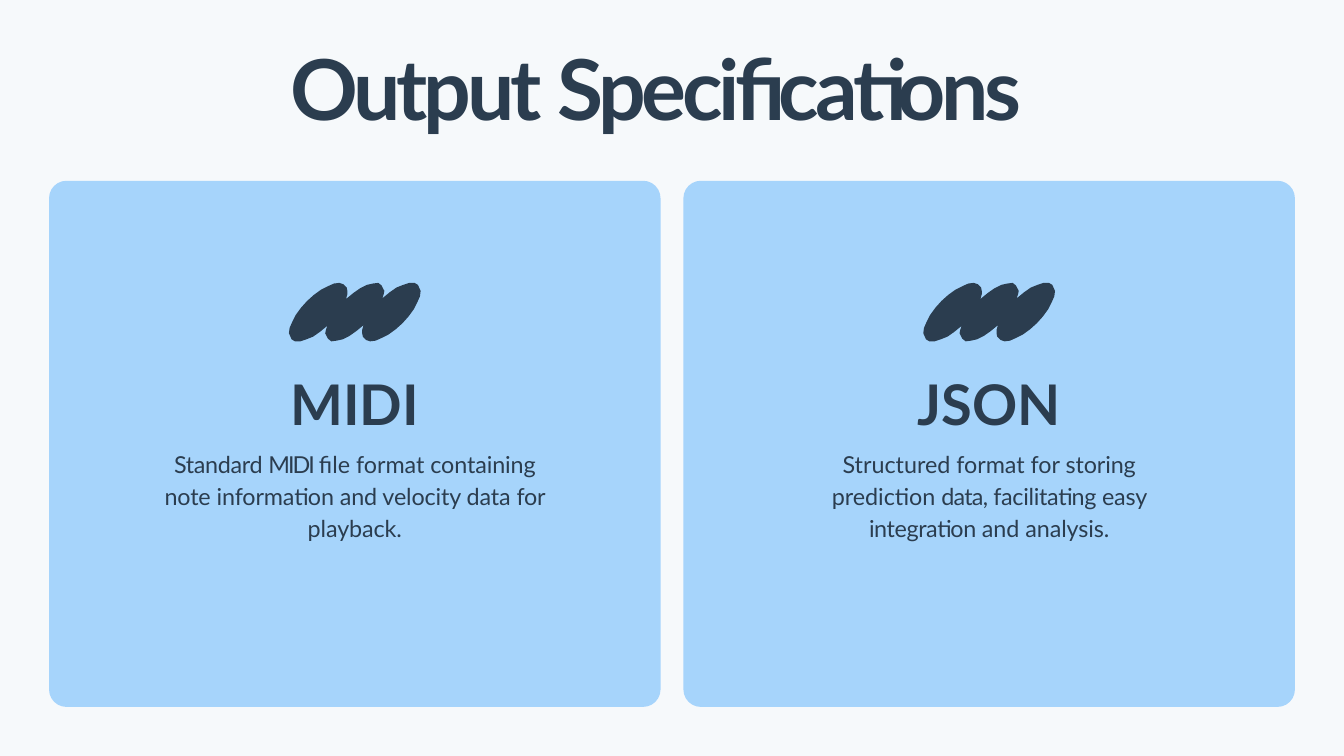
from pptx import Presentation
from pptx.dml.color import RGBColor
from pptx.enum.shapes import MSO_SHAPE as SHAPE
from pptx.enum.text import MSO_ANCHOR as ANCHOR, MSO_AUTO_SIZE as AUTO, PP_ALIGN as ALIGN
from pptx.util import Inches, Pt

INK, PANEL, PAPER = "2B3D4F", "A6D4FB", "F6F9FB"
CARD_LEFT, CARD_TOP, CARD_W, CARD_H, PITCH = 0.73, 2.69, 9.1, 7.83, 9.44
ICON_W, ICON_H = 1.96, 0.87
HALF_ICON = [
    (0.57, 0.64), (0.46, 0.73), (0.36, 0.8), (0.26, 0.84), (0.17, 0.87), (0.09, 0.87),
    (0.04, 0.84), (0, 0.75), (0.01, 0.67), (0.05, 0.58), (0.1, 0.48), (0.18, 0.37),
    (0.27, 0.27), (0.37, 0.18), (0.48, 0.1), (0.58, 0.05), (0.67, 0.01), (0.75, 0),
    (0.81, 0.02), (0.86, 0.07), (0.87, 0.12), (0.87, 0.17), (0.85, 0.24), (0.96, 0.15),
    (1.06, 0.08), (1.16, 0.03), (1.25, 0.01), (1.33, 0), (1.38, 0.04), (1.42, 0.12),
    (1.41, 0.17),
]
TITLE = [("Output ", -4.7), ("Specifications", -4.5)]
CARDS = [
    ("MIDI", 5.74, [
        ("Standard ", -0.3), ("MIDI ", -2.1), ("file format ", 0),
        ("containing note information and velocity data ", -0.1),
        ("for ", -0.2), ("playback.", -0.1)]),
    ("JSON", 4.75, [
        ("Structured format for ", 0), ("storing ", -0.1), ("prediction ", 0),
        ("data, ", -0.8), ("facilitating ", -0.3), ("easy ", -0.2),
        ("integration ", -0.4), ("and ", 0), ("analysis.", -0.1)]),
]


def color(value):
    return RGBColor.from_string(value)


class Deck:
    """Draws styled elements on the current slide."""

    def __init__(self, width, height):
        self.prs = Presentation()
        self.prs.slide_width, self.prs.slide_height = Inches(width), Inches(height)
        self.font = "Lato"
        self.s = None

    def slide(self):
        self.s = self.prs.slides.add_slide(self.prs.slide_layouts[5])
        fill = self.s.background.fill
        fill.solid()
        fill.fore_color.rgb = color(PAPER)

    def paint(self, sp, fill):
        sp.shadow.inherit = False
        sp.fill.solid()
        sp.fill.fore_color.rgb = color(fill)
        sp.line.fill.background()

    def frame(self, sp, left, top):
        tf = sp.text_frame
        tf.word_wrap, tf.auto_size, tf.vertical_anchor = True, AUTO.NONE, ANCHOR.TOP
        tf.margin_left, tf.margin_top = Inches(left), Inches(top)
        tf.margin_right = tf.margin_bottom = 0
        return tf

    def runs(self, p, parts, size, align, bold=False):
        p.alignment = align
        for text, spacing in parts:
            r = p.add_run()
            r.text = text
            r.font.name, r.font.size, r.font.bold = self.font, Pt(size), bold
            r.font.color.rgb = color(INK)
            r._r.get_or_add_rPr().set("spc", str(round(spacing * 100)))

    def title(self, parts):
        sp = self.s.shapes.title
        sp.left, sp.top, sp.width, sp.height = map(Inches, (0.72, -0.07, 14.97, 3.25))
        tf = self.frame(sp, 3.61, 0.61)
        self.runs(tf.paragraphs[0], parts, 90, ALIGN.LEFT, True)

    def card(self, left):
        sp = self.s.shapes.add_shape(SHAPE.ROUNDED_RECTANGLE, Inches(left), Inches(CARD_TOP),
                                     Inches(CARD_W), Inches(CARD_H))
        sp.adjustments[0] = 0.26 / CARD_H
        self.paint(sp, PANEL)

    def icon(self, center, top):
        left = center - ICON_W / 2
        turned = [(ICON_W - x, ICON_H - y) for x, y in HALF_ICON]
        points = [(Inches(left + x), Inches(top + y)) for x, y in HALF_ICON + turned]
        builder = self.s.shapes.build_freeform(*points[0])
        builder.add_line_segments(points[1:], close=True)
        self.paint(builder.convert_to_shape(), INK)

    def text(self, center, width, heading, body):
        sp = self.s.shapes.add_textbox(Inches(center - width / 2), Inches(5),
                                       Inches(width), Inches(3.09))
        tf = self.frame(sp, 0, 0.5)
        self.runs(tf.paragraphs[0], [(heading, -0.2)], 60, ALIGN.CENTER, True)
        p = tf.add_paragraph()
        p.line_spacing, p.space_before = 1.15, Pt(10)
        self.runs(p, body, 25, ALIGN.CENTER)


def main():
    deck = Deck(20, 11.25)
    deck.slide()
    deck.title(TITLE)
    for i, (heading, width, body) in enumerate(CARDS):
        left = CARD_LEFT + i * PITCH
        center = left + CARD_W / 2
        deck.card(left)
        deck.icon(center, 4.21)
        deck.text(center, width, heading, body)
    deck.prs.save("out.pptx")


if __name__ == "__main__":
    main()
